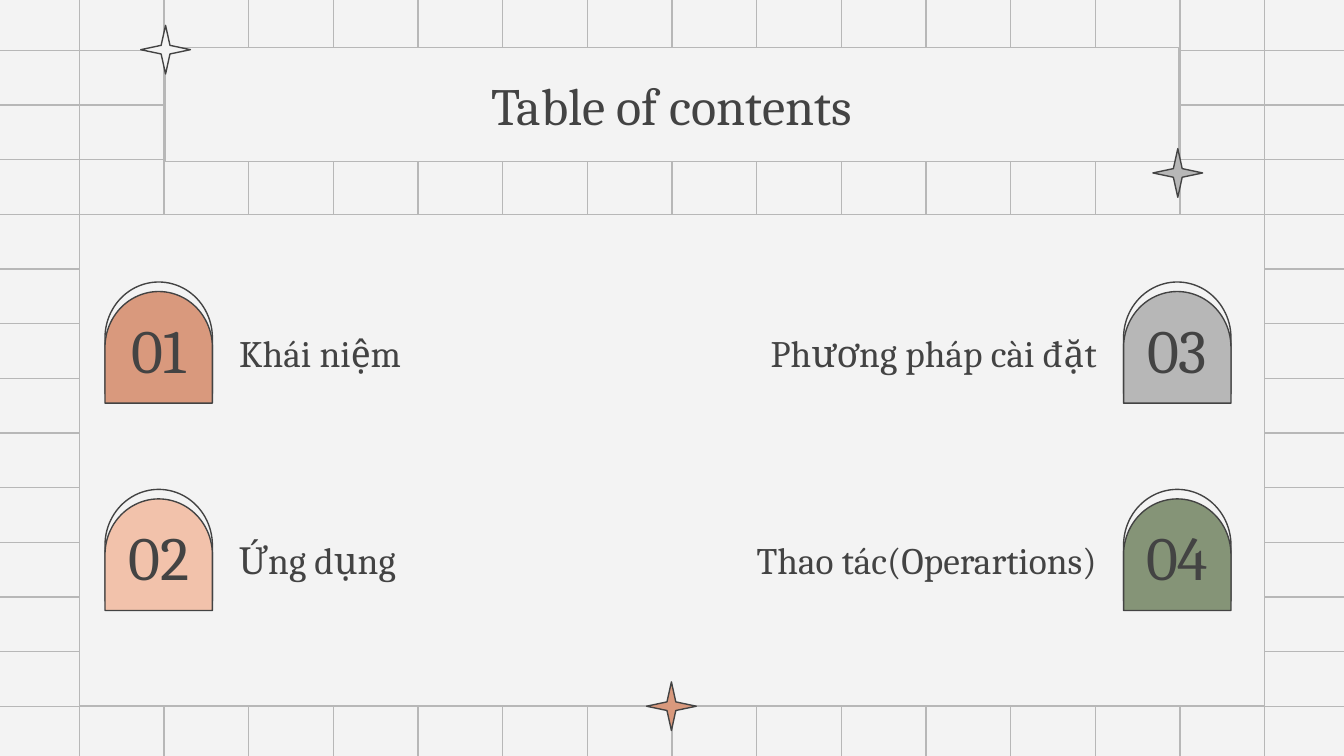
"""Build a table of contents slide with numbered arches on a squared-paper grid."""
from lxml import etree
from pptx import Presentation
from pptx import util as u
from pptx.dml.color import RGBColor
from pptx.enum import shapes, text
from pptx.oxml.ns import qn

WIDTH, HEIGHT = 25.4, 14.29
PAPER, INK, GRID = "F3F3F3", "434343", "B7B7B7"
FONT = "Cambria"
TITLE = "Table of contents"
ENTRIES = [
    {"number": "01", "label": "Khái niệm", "fill": "D9997D", "column": 0, "row": 0, "width": 7.87},
    {"number": "02", "label": "Ứng dụng", "fill": "F2C2AB", "column": 0, "row": 1, "width": 7.87},
    {"number": "03", "label": "Phương pháp cài đặt", "fill": "B7B7B7", "column": 1, "row": 0, "width": 7.87},
    {"number": "04", "label": "Thao tác(Operartions)", "fill": "859477", "column": 1, "row": 1, "width": 9.09},
]
STARS = [(22.26, 3.27, "B7B7B7"), (3.13, 0.94, PAPER), (12.69, 13.35, "D9997D")]
GRID_LEFT, GRID_TOP, GRID_WIDTH, GRID_HEIGHT = 1.5, 0.95, 22.4, 12.4
COLUMNS, ROWS = 14, 12
COLUMN_STEP, ROW_STEP = GRID_WIDTH / COLUMNS, GRID_HEIGHT / ROWS
ACROSS = (-0.1, WIDTH / 2, WIDTH + 0.1)
DOWN = (-0.08, HEIGHT / 2, HEIGHT + 0.08)
ARCH_CENTRES = (3, 22.25)
ARCH_TOP, ARCH_LENGTH, ARCH_BREADTH, ARCH_OFFSET = 5.37, 2.11, 2.03, 0.18
ENTRY_STEP = 3.92
LABEL_EDGES = (4.27, 20.98)
ALIGNMENTS = (text.PP_ALIGN.LEFT, text.PP_ALIGN.RIGHT)


def colour(value):
    return RGBColor.from_string(value)


def paint(shape, fill, line):
    shape.fill.solid()
    shape.fill.fore_color.rgb = colour(fill)
    shape.line.color.rgb = colour(line)
    shape.line.width = u.Pt(0.75)


def add_shape(page, kind, left, top, width, height, fill, line=INK):
    shape = page.shapes.add_shape(kind, *map(u.Cm, (left, top, width, height)))
    shape.shadow.inherit = False
    paint(shape, fill, line)
    return shape


def add_line(page, *ends):
    line = page.shapes.add_connector(shapes.MSO_CONNECTOR.STRAIGHT, *map(u.Cm, ends))
    line.line.color.rgb = colour(GRID)
    line.line.width = u.Pt(0.75)
    etree.SubElement(line._element.spPr, qn("a:effectLst"))


def write(box, words, size, align=text.PP_ALIGN.CENTER, after=0):
    frame = box.text_frame
    frame.word_wrap = True
    frame.auto_size = text.MSO_AUTO_SIZE.NONE
    frame.vertical_anchor = text.MSO_ANCHOR.MIDDLE
    frame.margin_left = frame.margin_right = u.Cm(0.25)
    frame.margin_top = frame.margin_bottom = u.Cm(0.25)
    para = frame.paragraphs[0]
    para.alignment = align
    para.space_after = u.Pt(after)
    span = para.add_run()
    span.text = words
    span.font.size = u.Pt(size)
    span.font.name = FONT
    span.font.color.rgb = colour(INK)


def add_text(page, left, top, width, height, words, **style):
    box = page.shapes.add_textbox(*map(u.Cm, (left, top, width, height)))
    write(box, words, **style)


def add_grid(page):
    for half in range(2):
        for column in range(COLUMNS + 1):
            x = GRID_LEFT + column * COLUMN_STEP
            add_line(page, x, DOWN[half], x, DOWN[half + 1])
        for row in range(ROWS + 1):
            y = GRID_TOP + row * ROW_STEP
            add_line(page, ACROSS[half], y, ACROSS[half + 1], y)
    panel_top = GRID_TOP + 3 * ROW_STEP
    add_shape(page, shapes.MSO_SHAPE.RECTANGLE, GRID_LEFT, panel_top,
              GRID_WIDTH, GRID_HEIGHT - 3 * ROW_STEP, PAPER, GRID)


def add_entry(page, number, label, fill, column, row, width):
    centre, drop = ARCH_CENTRES[column], row * ENTRY_STEP
    for offset, tint in ((0, PAPER), (ARCH_OFFSET, fill)):
        arch = add_shape(page, shapes.MSO_SHAPE.FLOWCHART_DELAY, centre - ARCH_LENGTH / 2,
                         ARCH_TOP + drop + offset, ARCH_LENGTH, ARCH_BREADTH, tint)
        arch.rotation = 270
    left = LABEL_EDGES[column] - column * width
    add_text(page, left, 6.15 + drop, width, 1.02, label,
             size=20, align=ALIGNMENTS[column], after=12)
    add_text(page, centre - 1.18, 5.91 + drop, 2.36, 1.37, number, size=33)


def add_title(page):
    title = page.shapes.title
    title.left, title.top, title.width, title.height = map(u.Cm, (3.12, 0.9, 19.15, 2.15))
    paint(title, PAPER, GRID)
    write(title, TITLE, size=28)
    title._element.getparent().append(title._element)


def add_star(page, x, y, fill):
    star = add_shape(page, shapes.MSO_SHAPE.STAR_4_POINT, x - 0.47, y - 0.46, 0.94, 0.92, fill)
    star.adjustments[0] = 0.125


def main():
    deck = Presentation()
    deck.slide_width, deck.slide_height = u.Cm(WIDTH), u.Cm(HEIGHT)
    page = deck.slides.add_slide(deck.slide_layouts.get_by_name("Title Only"))
    page.background.fill.solid()
    page.background.fill.fore_color.rgb = colour(PAPER)
    add_grid(page)
    add_title(page)
    for entry in ENTRIES:
        add_entry(page, **entry)
    for star in STARS:
        add_star(page, *star)
    deck.save("out.pptx")


if __name__ == "__main__":
    main()
